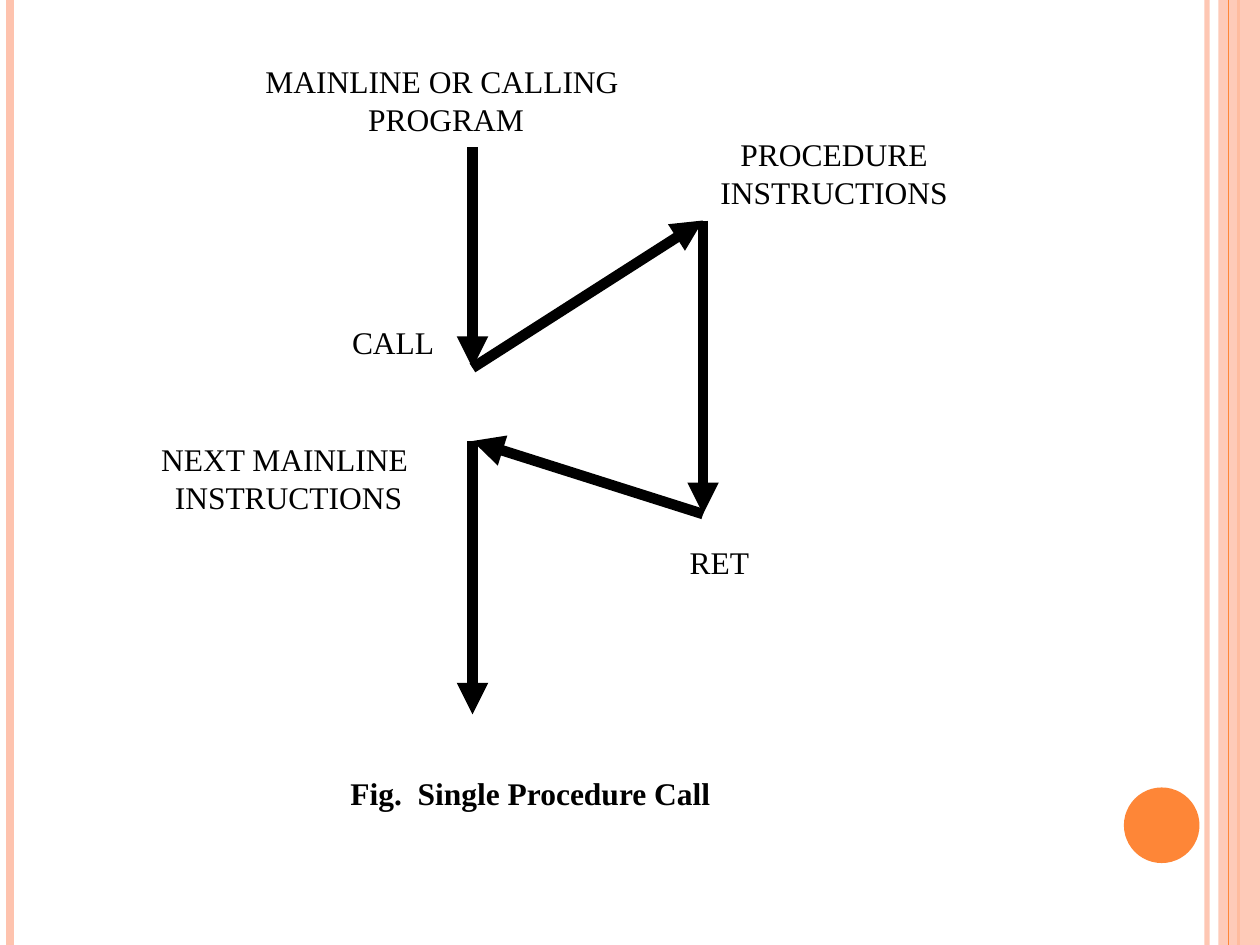
from pptx import Presentation
from pptx.dml.color import RGBColor
from pptx.enum.shapes import MSO_CONNECTOR, MSO_SHAPE
from pptx.enum.text import MSO_ANCHOR, PP_ALIGN
from pptx.oxml.ns import qn
from pptx.util import Inches, Pt
from lxml.etree import SubElement

COLORS = {"ink": "000000", "peach": "FEC3AE", "orange": "FE8637"}


class Page:
    font = "Times New Roman"
    size = Pt(18)

    def __init__(self, slide):
        self.slide = slide

    def paint(self, fill, color, alpha):
        fill.solid()
        fill.fore_color.rgb = RGBColor.from_string(COLORS[color])
        if alpha < 100:
            node = fill._xPr.find(qn("a:solidFill"))[0]
            SubElement(node, qn("a:alpha"), val=str(alpha * 1000))

    def line(self, start, end, color="ink", width=6, alpha=100, arrow=False):
        ends = [Inches(v) for v in (*start, *end)]
        link = self.slide.shapes.add_connector(MSO_CONNECTOR.STRAIGHT, *ends)
        link.line.width = Pt(width)
        self.paint(link.line.fill, color, alpha)
        if arrow:
            SubElement(link.line._get_or_add_ln(), qn("a:tailEnd"), type="triangle")
        SubElement(link._element.spPr, qn("a:effectLst"))

    def shape(self, kind, box, color, alpha=100):
        item = self.slide.shapes.add_shape(kind, *[Inches(v) for v in box])
        item.shadow.inherit = False
        self.paint(item.fill, color, alpha)
        item.line.fill.background()

    def text(self, box, *rows, bold=False):
        frame = self.slide.shapes.add_textbox(*[Inches(v) for v in box]).text_frame
        frame.word_wrap = False
        # No side margins, so the longest row fits its box
        frame.margin_left = frame.margin_right = 0
        frame.vertical_anchor = MSO_ANCHOR.MIDDLE
        for i, row in enumerate(rows):
            para = frame.add_paragraph() if i else frame.paragraphs[0]
            para.alignment = PP_ALIGN.CENTER
            run = para.add_run()
            run.text = row
            run.font.name = self.font
            run.font.size = self.size
            run.font.bold = bold
            run.font.color.rgb = RGBColor.from_string(COLORS["ink"])


def main():
    deck = Presentation()
    deck.slide_width, deck.slide_height = Inches(10), Inches(7.5)
    page = Page(deck.slides.add_slide(deck.slide_layouts[6]))

    # Side stripes and dot
    def stripe(x, color, width, alpha=100):
        page.line((x, 0), (x, 7.5), color, width, alpha)

    stripe(9.58, "peach", 3, 93)
    stripe(0.08, "peach", 4.5)
    stripe(9.83, "orange", 1.5)
    page.shape(MSO_SHAPE.RECTANGLE, (9.67, 0, 0.33, 7.5), "peach", 87)
    stripe(9.75, "orange", 0.75)
    page.shape(MSO_SHAPE.OVAL, (8.92, 6.25, 0.6, 0.6), "orange")

    # Program flow: down to the call, through the procedure, and back
    main_x, proc_x = 3.75, 5.58
    start, call = (main_x, 1.17), (main_x, 2.92)
    entry, ret = (proc_x, 1.75), (proc_x, 4.08)
    resume, stop = (main_x, 3.5), (main_x, 5.67)
    for a, b in ((start, call), (ret, resume), (resume, stop),
                 (call, entry), (entry, ret)):
        page.line(a, b, arrow=True)

    # Labels
    high = 0.58
    page.text((2.08, 0.5, 2.92, high), "MAINLINE OR CALLING ", "PROGRAM")
    page.text((1, 3.5, 2.58, high), "NEXT MAINLINE ", "INSTRUCTIONS")
    page.text((5.33, 1.08, 2.58, high), "PROCEDURE", "INSTRUCTIONS")
    page.text((2.58, 2.42, 1.08, high), "CALL")
    page.text((5.25, 4.17, 0.92, high), "RET")

    # Caption
    page.text((2, 6.08, 4.42, 0.42), "Fig.  Single Procedure Call", bold=True)

    deck.save("out.pptx")


if __name__ == "__main__":
    main()
